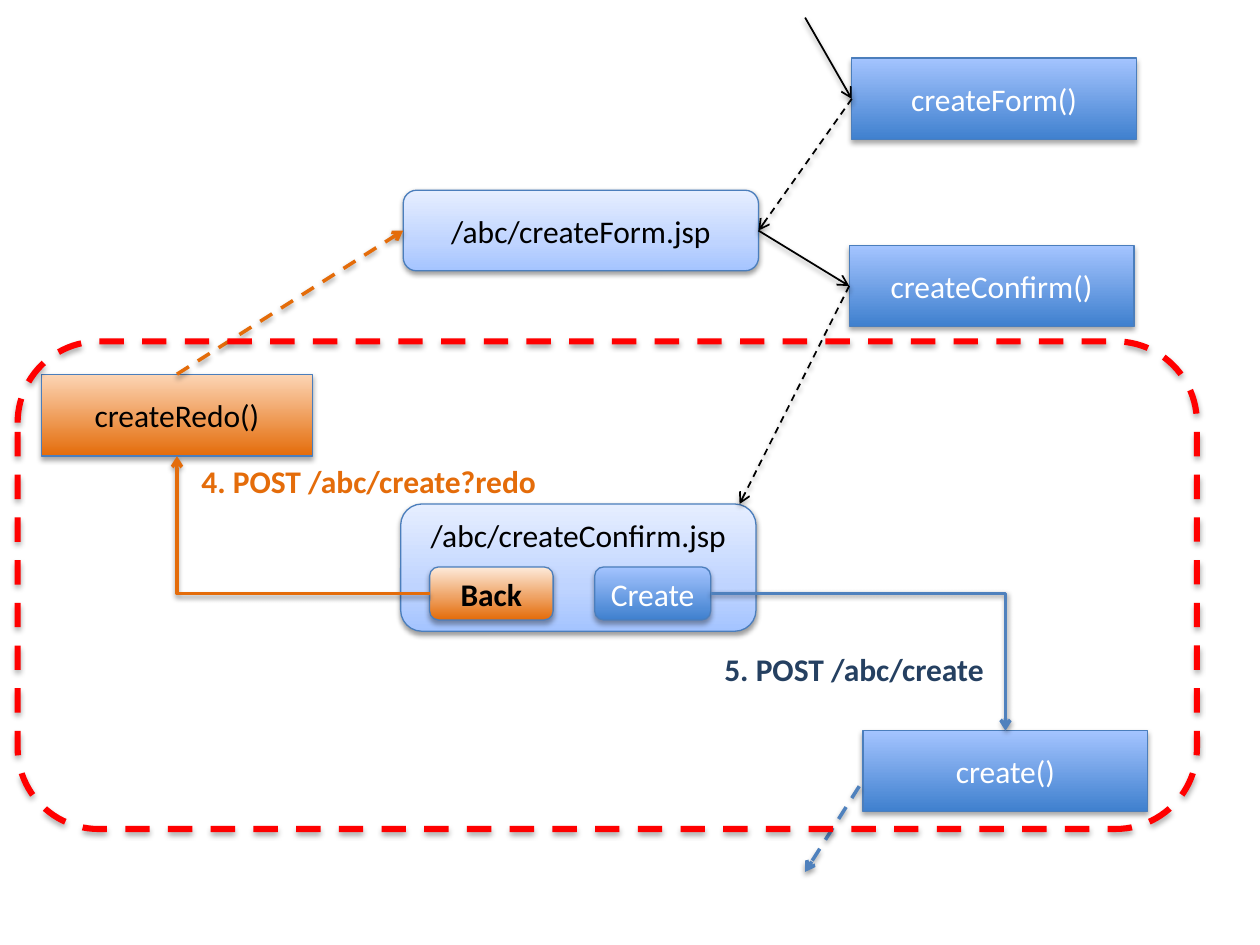
import pptx
import pptx.util
import pptx.dml.color
import pptx.enum.dml
import pptx.enum.shapes
import pptx.enum.text
import pptx.oxml
import pptx.oxml.ns

Inches = pptx.util.Inches
Pt = pptx.util.Pt
ShapeType = pptx.enum.shapes.MSO_SHAPE
ConnectorType = pptx.enum.shapes.MSO_CONNECTOR
Anchor = pptx.enum.text.MSO_ANCHOR
Align = pptx.enum.text.PP_ALIGN
qn = pptx.oxml.ns.qn

# Theme: gradients run from bottom to top as (percent, colour)
THEME = {
    "font": "Calibri", "size": 18,
    "black": "000000", "white": "FFFFFF", "orange": "E46C0A", "blue": "4F81BD",
    "navy": "254061", "red": "FF0000", "outline": "4B7EBC",
    "strong": [(0, "3F80CE"), (100, "A4C4FF")],
    "page": [(0, "A4C4FF"), (35, "BFD4FF"), (100, "E6EEFF")],
    "redo": [(0, "E46C0A"), (100, "FCD5B5")],
    "back": [(0, "E46C0A"), (100, "FDEADA")],
}

# Content: key, text, left, top, width, height, rounded, gradient, text colour
BOXES = [
    ("form", "createForm()", 6.76, 0.46, 2.26, 0.65, False, "strong", "white"),
    ("confirm", "createConfirm()", 6.74, 1.95, 2.26, 0.64, False, "strong", "white"),
    ("create", "create()", 6.85, 5.8, 2.26, 0.64, False, "strong", "white"),
    ("redo", "createRedo()", 0.33, 2.97, 2.15, 0.65, False, "redo", "black"),
    ("form page", "/abc/createForm.jsp", 3.2, 1.51, 2.82, 0.64, True, "page", "black"),
    ("confirm page", "/abc/createConfirm.jsp", 3.18, 4, 2.82, 1.01, True, "page", "black"),
    ("create button", "Create", 4.72, 4.5, 0.92, 0.42, True, "strong", "white"),
    ("back button", "Back", 3.41, 4.5, 0.98, 0.42, True, "back", "black"),
]
TOP_ANCHORED = {"confirm page"}
BOLD = {"back button"}

# Text, left, top, width, height, colour
LABELS = [
    ("4. POST /abc/create?redo", 1.5, 3.62, 3.08, 0.49, "orange"),
    ("5. POST /abc/create", 5.65, 5.11, 2.31, 0.49, "navy"),
]

# Start, end, colour, points, dashed, bent; an end is (box, side) or an (x, y) point
TOP, LEFT, BOTTOM, RIGHT = range(4)
ARROWS = [
    ((6.39, 0.14), ("form", LEFT), "black", 1, False, False),
    (("form", LEFT), ("form page", RIGHT), "black", 1, True, False),
    (("form page", RIGHT), ("confirm", LEFT), "black", 1, False, False),
    (("confirm", LEFT), (5.87, 4), "black", 1, True, False),
    (("redo", TOP), ("form page", LEFT), "orange", 2, True, False),
    (("back button", LEFT), ("redo", BOTTOM), "orange", 2, False, True),
    (("create button", RIGHT), ("create", TOP), "blue", 2, False, True),
    ((6.82, 6.24), (6.39, 6.92), "blue", 2, True, False),
]
FRAME = (0.14, 2.71, 9.36, 3.87)


def color(name):
    return pptx.dml.color.RGBColor.from_string(THEME.get(name, name))


def set_line(line, color_name, points, dashed=False):
    line.color.rgb = color(color_name)
    line.width = Pt(points)
    if dashed:
        line.dash_style = pptx.enum.dml.MSO_LINE.DASH


def add_shadow(shape, distance, opacity):
    properties = shape._element.spPr
    effects = properties.find(qn("a:effectLst"))
    if effects is None:
        effects = pptx.oxml.parse_xml(f'<a:effectLst {pptx.oxml.ns.nsdecls("a")}/>')
        properties.append(effects)
    effects.append(pptx.oxml.parse_xml(
        f'<a:outerShdw {pptx.oxml.ns.nsdecls("a")} blurRad="{Pt(3.1)}" '
        f'dist="{Pt(distance)}" dir="5400000" rotWithShape="0">'
        f'<a:srgbClr val="000000"><a:alpha val="{opacity * 1000}"/></a:srgbClr>'
        '</a:outerShdw>'))


def set_gradient(shape, stops):
    shape.fill.gradient()
    shape.fill.gradient_angle = 90
    stop_list = shape._element.spPr.find(qn("a:gradFill")).find(qn("a:gsLst"))
    for old_stop in list(stop_list):
        stop_list.remove(old_stop)
    for percent, value in stops:
        stop_list.append(pptx.oxml.parse_xml(
            f'<a:gs {pptx.oxml.ns.nsdecls("a")} pos="{percent * 1000}">'
            f'<a:srgbClr val="{value}"/></a:gs>'))


def set_text(shape, text, color_name, bold, align, anchor):
    frame = shape.text_frame
    frame.word_wrap = True
    frame.vertical_anchor = anchor
    paragraph = frame.paragraphs[0]
    paragraph.text = text
    paragraph.alignment = align
    paragraph.font.name = THEME["font"]
    paragraph.font.size = Pt(THEME["size"])
    paragraph.font.bold = bold
    paragraph.font.color.rgb = color(color_name)


def add_box(slide, key, text, left, top, width, height, rounded, gradient, text_color):
    kind = ShapeType.ROUNDED_RECTANGLE if rounded else ShapeType.RECTANGLE
    shape = slide.shapes.add_shape(kind, *map(Inches, (left, top, width, height)))
    set_gradient(shape, THEME[gradient])
    set_line(shape.line, "outline", 0.75)
    shape.shadow.inherit = False
    if gradient == "page":
        add_shadow(shape, 1.6, 38)
    else:
        add_shadow(shape, 1.8, 35)
    anchor = Anchor.TOP if key in TOP_ANCHORED else Anchor.MIDDLE
    set_text(shape, text, text_color, key in BOLD, Align.CENTER, anchor)
    return shape


def add_arrow(slide, boxes, start, end, color_name, points, dashed, bent):
    kind = ConnectorType.ELBOW if bent else ConnectorType.STRAIGHT
    connector = slide.shapes.add_connector(kind, 0, 0, 0, 0)
    if start[0] in boxes:
        connector.begin_connect(boxes[start[0]], start[1])
    else:
        connector.begin_x, connector.begin_y = map(Inches, start)
    if end[0] in boxes:
        connector.end_connect(boxes[end[0]], end[1])
    else:
        connector.end_x, connector.end_y = map(Inches, end)
    if bent:  # a single corner
        connector._element.spPr.find(qn("a:prstGeom")).set("prst", "bentConnector2")
    set_line(connector.line, color_name, points, dashed)
    connector.line._get_or_add_ln().append(pptx.oxml.parse_xml(
        f'<a:tailEnd {pptx.oxml.ns.nsdecls("a")} type="arrow"/>'))
    add_shadow(connector, 1.6, 38)


def main():
    presentation = pptx.Presentation()
    presentation.slide_width, presentation.slide_height = Inches(10), Inches(7.5)
    slide = presentation.slides.add_slide(presentation.slide_layouts[6])

    # Boxes, labels and arrows
    boxes = {box[0]: add_box(slide, *box) for box in BOXES}
    for text, left, top, width, height, color_name in LABELS:
        label = slide.shapes.add_textbox(*map(Inches, (left, top, width, height)))
        set_text(label, text, color_name, True, Align.LEFT, Anchor.TOP)
    for arrow in ARROWS:
        add_arrow(slide, boxes, *arrow)

    # Dashed frame around the highlighted steps
    frame = slide.shapes.add_shape(ShapeType.ROUNDED_RECTANGLE, *map(Inches, FRAME))
    frame.fill.background()
    set_line(frame.line, "red", 3.5, True)
    frame.shadow.inherit = False
    add_shadow(frame, 1.8, 35)

    presentation.save("out.pptx")


if __name__ == "__main__":
    main()
